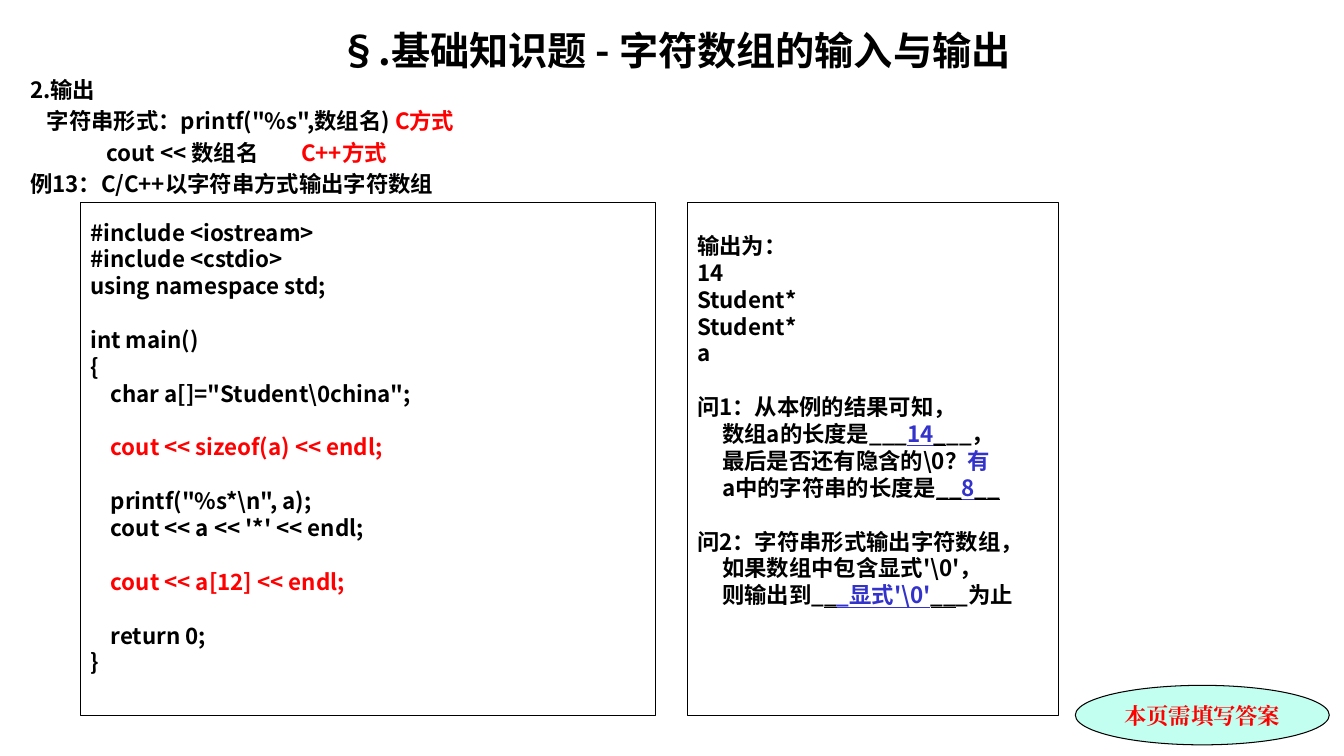
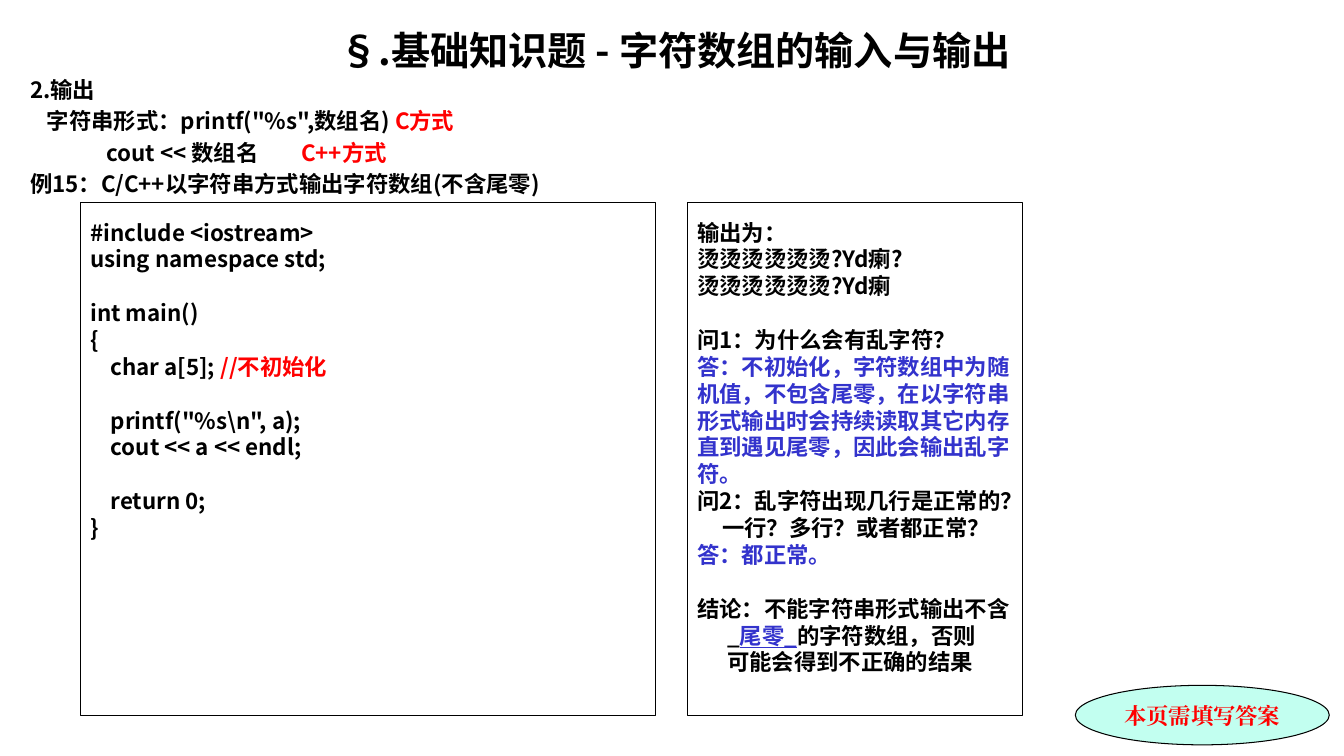
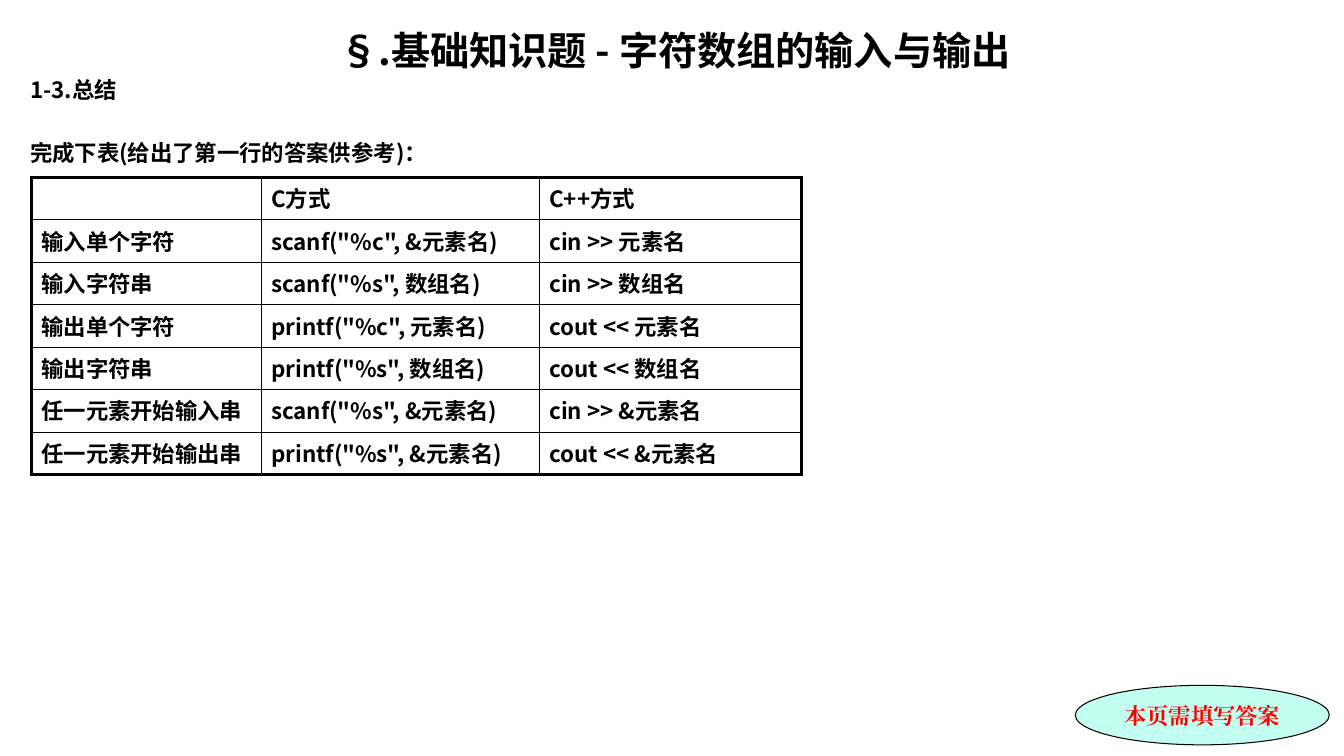
from lxml import etree
from pptx import Presentation
from pptx.dml.color import RGBColor
from pptx.enum.shapes import MSO_SHAPE
from pptx.enum.text import MSO_ANCHOR, PP_ALIGN
from pptx.oxml.ns import qn
from pptx.util import Cm, Pt

RECT, OVAL = MSO_SHAPE.RECTANGLE, MSO_SHAPE.OVAL
TOP, MIDDLE = MSO_ANCHOR.TOP, MSO_ANCHOR.MIDDLE
CENTER = PP_ALIGN.CENTER
C = {"black": "000000", "red": "FF0000", "blue": "3333CC",
     "white": "FFFFFF", "mint": "C2FFF0"}
BODY, NOTE = "Noto Sans CJK SC", "Times New Roman"
LEADING = 1.2

TITLE = "§.基础知识题 - 字符数组的输入与输出"
OUTPUT_HEAD = [
    "2.输出",
    ["\t字符串形式：printf(\"%s\",数组名) ", ("C方式", "red")],
    ["\t\tcout << 数组名\t", ("C++方式", "red")],
]
HEAD_TABS = (0.42, 1.92, 6.83)
ANSWER_TABS = (0.63, 0.76)

EXAMPLES = [
    {
        "caption": "例13：C/C++以字符串方式输出字符数组",
        "code": [
            "#include <iostream>",
            "#include <cstdio>",
            "using namespace std;",
            "",
            "int main()",
            "{",
            "    char a[]=\"Student\\0china\";",
            "",
            [("    cout << sizeof(a) << endl;", "red")],
            "",
            "    printf(\"%s*\\n\", a);",
            "    cout << a << '*' << endl;",
            "",
            [("    cout << a[12] << endl;", "red")],
            "",
            "    return 0;",
            "}",
        ],
        "answers": [
            "输出为：",
            "14",
            "Student*",
            "Student*",
            "a",
            "",
            "问1：从本例的结果可知，",
            ["\t数组a的长度是___", ("14", "blue", True), ("_", "black", True), "__，"],
            ["\t最后是否还有隐含的\\0？", ("有", "blue")],
            ["\ta中的字符串的长度是", ("__", "black", True), ("8", "blue", True),
             ("__", "black", True)],
            "",
            "问2：字符串形式输出字符数组，",
            "\t如果数组中包含显式'\\0'，",
            ["\t则输出到_", ("_", "black", True), ("_显式'\\0'", "blue", True),
             ("__", "black", True), "_为止"],
        ],
        "answer_width": 9.35,
        "answer_inset": 0.74,
    },
    {
        "caption": "例15：C/C++以字符串方式输出字符数组(不含尾零)",
        "code": [
            "#include <iostream>",
            "using namespace std;",
            "",
            "int main()",
            "{",
            ["    char a[5]; ", ("//不初始化", "red")],
            "",
            "    printf(\"%s\\n\", a);",
            "    cout << a << endl;",
            "",
            "    return 0;",
            "}",
        ],
        "answers": [
            "输出为：",
            "烫烫烫烫烫烫?Yd瘌?",
            "烫烫烫烫烫烫?Yd瘌",
            "",
            "问1：为什么会有乱字符？",
            [("答：不初始化，字符数组中为随", "blue")],
            [("机值，不包含尾零，在以字符串", "blue")],
            [("形式输出时会持续读取其它内存", "blue")],
            [("直到遇见尾零，因此会输出乱字", "blue")],
            [("符。", "blue")],
            "问2：乱字符出现几行是正常的？",
            "\t一行？多行？或者都正常？",
            [("答：都正常。", "blue")],
            "",
            "结论：不能字符串形式输出不含",
            ["\t\t_", ("尾零_", "blue", True), "的字符数组，否则"],
            "\t\t可能会得到不正确的结果",
        ],
        "answer_width": 8.46,
        "answer_inset": 0.4,
    },
]
SUMMARY = [
    ("", "C方式", "C++方式"),
    ("输入单个字符", "scanf(\"%c\", &元素名)", "cin >> 元素名"),
    ("输入字符串", "scanf(\"%s\", 数组名)", "cin >> 数组名"),
    ("输出单个字符", "printf(\"%c\", 元素名)", "cout << 元素名"),
    ("输出字符串", "printf(\"%s\", 数组名)", "cout << 数组名"),
    ("任一元素开始输入串", "scanf(\"%s\", &元素名)", "cin >> &元素名"),
    ("任一元素开始输出串", "printf(\"%s\", &元素名)", "cout << &元素名"),
]


def write(tf, lines, size=16, font=BODY, color="black", align=None, before=0, tabs=()):
    """Write one paragraph a line; a line is a string or a list of runs,
    a run a string or (text, colour, underline). An empty line is a gap."""
    p, gap = None, 0
    for line in lines:
        if not line:
            gap += size * LEADING + before
            continue
        p = tf.paragraphs[0] if p is None else tf.add_paragraph()
        if p is not tf.paragraphs[0] and len(tf.paragraphs) > 1:
            p.space_before = Pt(before + gap)
        gap = 0
        p.line_spacing = Pt(size * LEADING)
        p.alignment = align
        if tabs:
            tab_list = etree.SubElement(p._p.get_or_add_pPr(), qn("a:tabLst"))
            for stop in tabs:
                etree.SubElement(tab_list, qn("a:tab"), pos=str(Cm(stop)), algn="l")
        for run in [line] if isinstance(line, str) else line:
            text, shade, underline = ((run,) if isinstance(run, str) else run) \
                + (color, False)[0 if isinstance(run, str) else len(run) - 1:]
            r = p.add_run()
            r.text = text
            r.font.size, r.font.bold, r.font.name = Pt(size), True, font
            r.font.color.rgb = RGBColor.from_string(C[shade])
            if underline:
                r.font.underline = True
            etree.SubElement(r._r.get_or_add_rPr(), qn("a:ea"), typeface=font)


def add_box(s, kind, x, y, w, h, fill=None, anchor=MIDDLE, inset=0.13):
    """Add an outlined shape and return its text frame."""
    sp = s.shapes.add_shape(kind, Cm(x), Cm(y), Cm(w), Cm(h))
    sp.shadow.inherit = False
    if fill:
        sp.fill.solid()
        sp.fill.fore_color.rgb = RGBColor.from_string(C[fill])
    else:
        sp.fill.background()
    sp.line.color.rgb = RGBColor.from_string(C["black"])
    sp.line.width = Pt(0.75)
    tf = sp.text_frame
    tf.word_wrap = False
    tf.vertical_anchor = anchor
    tf.margin_top = Cm(inset)
    return tf


prs = Presentation()
prs.slide_width, prs.slide_height = Cm(33.87), Cm(19.05)

# Title, heading and reminder on every slide
heads = [OUTPUT_HEAD + [example["caption"]] for example in EXAMPLES]
heads.append(["1-3.总结", "", "完成下表(给出了第一行的答案供参考)："])
for head in heads:
    s = prs.slides.add_slide(prs.slide_layouts[6])
    for y, h, lines, fmt in (
        (0.53, 1.4, [TITLE], {"size": 28, "align": CENTER}),
        (1.79, 3.3, head, {"before": 3.2, "tabs": HEAD_TABS}),
    ):
        tf = s.shapes.add_textbox(Cm(0.51), Cm(y), Cm(33), Cm(h)).text_frame
        tf.word_wrap = True
        write(tf, lines, **fmt)
    tf = add_box(s, OVAL, 27.1, 17.27, 6.4, 1.5, fill="mint")
    write(tf, ["本页需填写答案"], font=NOTE, color="red", align=CENTER)

# Code on the left, questions and answers on the right
for s, example in zip(prs.slides, EXAMPLES):
    tf = add_box(s, RECT, 2.03, 5.11, 14.48, 12.93, anchor=TOP, inset=0.4)
    write(tf, example["code"], align=PP_ALIGN.LEFT)
    tf = add_box(s, RECT, 17.32, 5.11, example["answer_width"], 12.93,
                 anchor=TOP, inset=example["answer_inset"])
    write(tf, example["answers"], align=PP_ALIGN.LEFT, tabs=ANSWER_TABS)

# Summary table
widths, row_height = (5.79, 7.01, 6.6), 1.07
n_rows, n_cols = len(SUMMARY), len(widths)
table = prs.slides[2].shapes.add_table(
    n_rows, n_cols, Cm(0.79), Cm(4.47), Cm(sum(widths)), Cm(row_height * n_rows)).table
table.first_row = table.horz_banding = False
for column, width in zip(table.columns, widths):
    column.width = Cm(width)
for i, texts in enumerate(SUMMARY):
    table.rows[i].height = Cm(row_height)
    for j, text in enumerate(texts):
        cell = table.cell(i, j)
        cell.vertical_anchor = MIDDLE
        cell.margin_top, cell.margin_bottom = Cm(0.2), Cm(0.1)
        outer = {"lnL": j == 0, "lnR": j == n_cols - 1,
                 "lnT": i == 0, "lnB": i == n_rows - 1}
        for side, is_outer in outer.items():
            ln = etree.SubElement(cell._tc.get_or_add_tcPr(), qn("a:" + side),
                                  w=str(Pt(2.25 if is_outer else 1)))
            line_fill = etree.SubElement(ln, qn("a:solidFill"))
            etree.SubElement(line_fill, qn("a:srgbClr"), val=C["black"])
        cell.fill.solid()
        cell.fill.fore_color.rgb = RGBColor.from_string(C["white"])
        write(cell.text_frame, [text])

prs.save("out.pptx")
